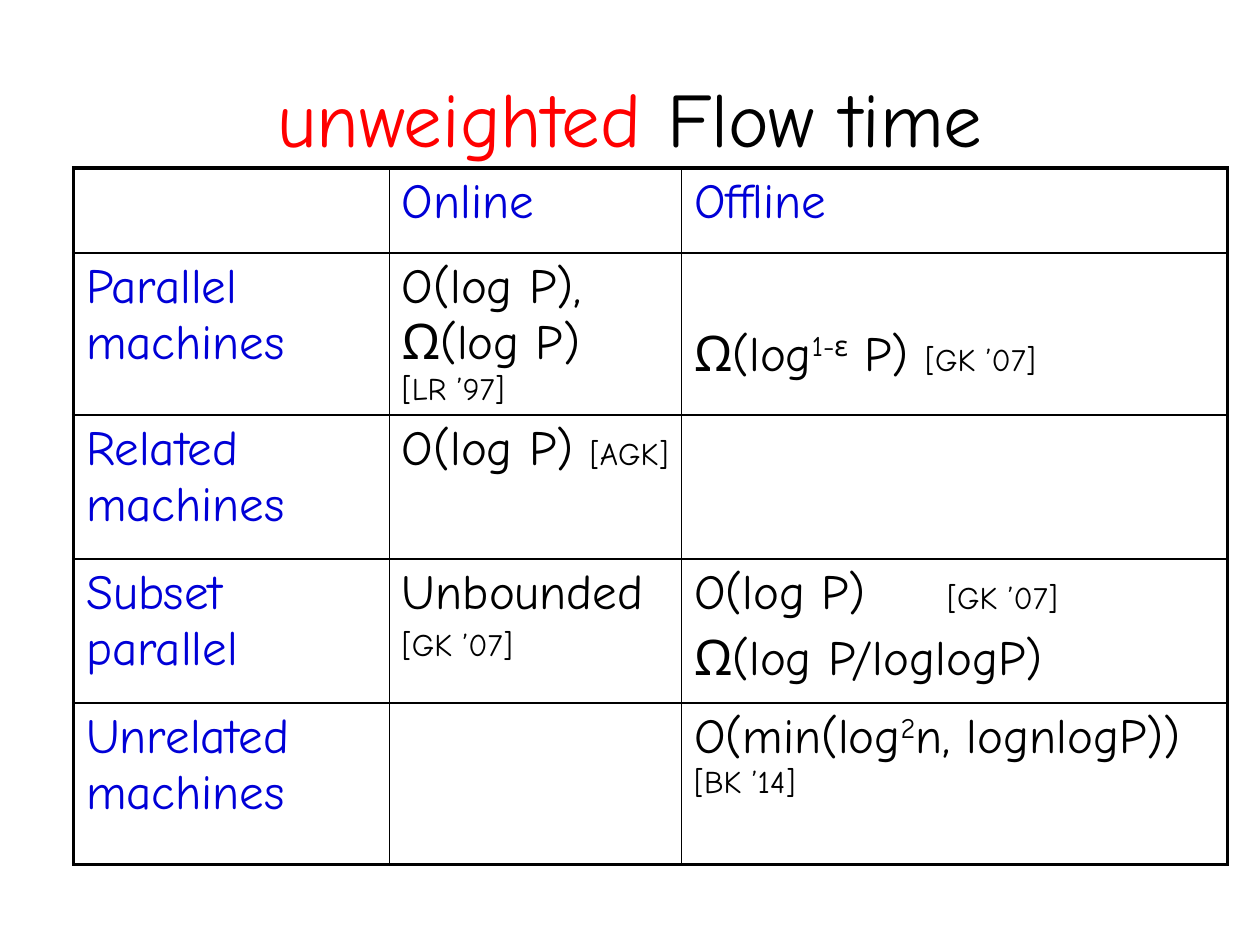
from lxml.etree import SubElement
from pptx import Presentation
from pptx.dml.color import RGBColor
from pptx.enum.text import MSO_ANCHOR, MSO_AUTO_SIZE, PP_ALIGN
from pptx.oxml.ns import qn
from pptx.util import Pt

FONT = "Comic Neue"
BLACK = RGBColor(0x00, 0x00, 0x00)
RED = RGBColor(0xFF, 0x00, 0x00)
BLUE = RGBColor(0x00, 0x00, 0xD7)
BODY, CITE = 28, 18


def add_run(paragraph, text, size, color, superscript=False):
    run = paragraph.add_run()
    run.text = text
    run.font.name = FONT
    run.font.size = Pt(size)
    run.font.color.rgb = color
    if superscript:
        run.font._element.set("baseline", "30000")


def add_border(cell, side, width):
    line = SubElement(cell._tc.get_or_add_tcPr(), qn(f"a:{side}"), w=str(Pt(width)))
    fill = SubElement(line, qn("a:solidFill"))
    SubElement(fill, qn("a:srgbClr"), val=str(BLACK))


presentation = Presentation()
presentation.slide_width, presentation.slide_height = Pt(720), Pt(540)
slide = presentation.slides.add_slide(presentation.slide_layouts[5])

# Title
title = slide.shapes.title
title.left, title.top, title.width, title.height = Pt(36), Pt(21.6), Pt(648), Pt(90)
title.text_frame.word_wrap = True
title.text_frame.auto_size = MSO_AUTO_SIZE.NONE
title.text_frame.vertical_anchor = MSO_ANCHOR.MIDDLE
heading = title.text_frame.paragraphs[0]
heading.alignment = PP_ALIGN.CENTER
add_run(heading, "unweighted ", 44, RED)
add_run(heading, "Flow time", 44, BLACK)

# Results: each cell is a list of paragraphs, each paragraph a list of
# (text, size) runs, with True added for a superscript
headers = ["", "Online", "Offline"]
results = [
    ("Parallel machines",
     [[("O(log P), Ω(log P)\v", BODY), ("[LR ’97]", CITE)]],
     [[("Ω(log", BODY), ("1-ε", BODY, True), (" P) ", BODY), ("[GK ’07]", CITE)]]),
    ("Related machines",
     [[("O(log P) ", BODY), ("[AGK]", CITE)]],
     []),
    ("Subset parallel",
     [[("Unbounded", BODY)], [("[GK ’07]", CITE)]],
     [[("O(log P)\t", BODY), ("[GK ’07]", CITE)], [("Ω(log P/loglogP)", BODY)]]),
    ("Unrelated machines",
     [],
     [[("O(min(log", BODY), ("2", BODY, True), ("n, lognlogP)) ", BODY),
       ("[BK ’14]", CITE)]]),
]

# Table grid
column_widths = [180.5, 167, 312]
row_heights = [48.6, 92.5, 82.3, 82.3, 92.5]
table = slide.shapes.add_table(
    len(row_heights), len(column_widths), Pt(42), Pt(96),
    Pt(sum(column_widths)), Pt(sum(row_heights))).table
table.first_row = table.horz_banding = False
for column, width in zip(table.columns, column_widths):
    column.width = Pt(width)
for row, height in zip(table.rows, row_heights):
    row.height = Pt(height)

# Borders: thick outside, thin inside
last_row, last_column = len(row_heights) - 1, len(column_widths) - 1
for r in range(last_row + 1):
    for c in range(last_column + 1):
        cell = table.cell(r, c)
        edges = {"lnL": c == 0, "lnR": c == last_column,
                 "lnT": r == 0, "lnB": r == last_row}
        for side, outer in edges.items():
            add_border(cell, side, 2.25 if outer else 1)
        cell.fill.background()

# Column and row headings
for c, text in enumerate(headers):
    if text:
        add_run(table.cell(0, c).text_frame.paragraphs[0], text, BODY, BLUE)
for r, (machine, *bounds) in enumerate(results, start=1):
    add_run(table.cell(r, 0).text_frame.paragraphs[0], machine, BODY, BLUE)

    # Bounds
    for c, paragraphs in enumerate(bounds, start=1):
        text_frame = table.cell(r, c).text_frame
        for i, runs in enumerate(paragraphs):
            paragraph = text_frame.paragraphs[0] if i == 0 else text_frame.add_paragraph()
            if i:
                paragraph.space_before = Pt(0.2 * runs[0][1])
            if any("\t" in run[0] for run in runs):
                tabs = SubElement(paragraph._p.get_or_add_pPr(), qn("a:tabLst"))
                SubElement(tabs, qn("a:tab"), pos=str(Pt(144.5)), algn="l")
            for text, *style in runs:
                line, *wrapped = text.split("\v")
                add_run(paragraph, line, style[0], BLACK, *style[1:])
                if wrapped:
                    paragraph.add_line_break()

# The offline bound for parallel machines sits low in its cell
parallel_offline = table.cell(1, 2)
parallel_offline.vertical_anchor = MSO_ANCHOR.BOTTOM
parallel_offline.margin_bottom = Pt(18)

presentation.save("out.pptx")
